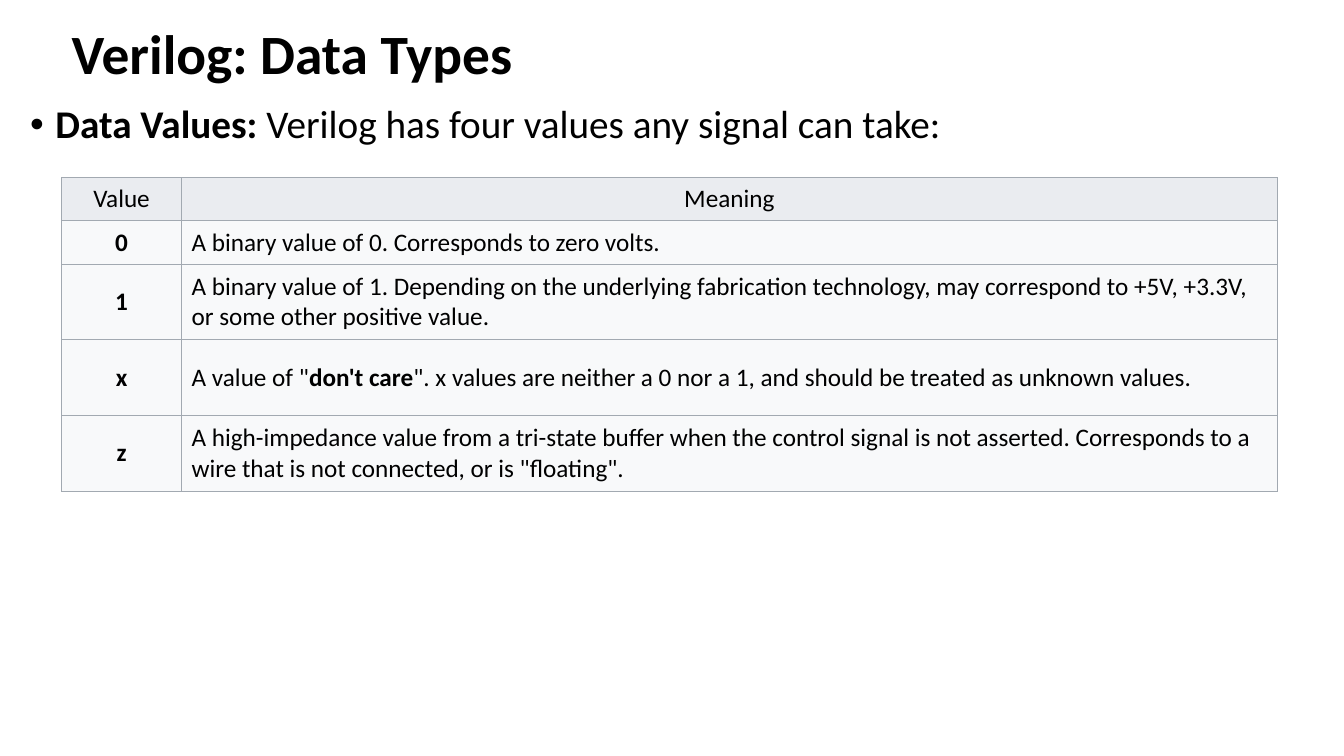
from pptx import Presentation
from pptx.dml.color import RGBColor
from pptx.enum.text import MSO_ANCHOR, MSO_AUTO_SIZE, PP_ALIGN
from pptx.oxml import parse_xml
from pptx.oxml.ns import nsdecls
from pptx.util import Pt

FONT = "Calibri"
INK, HEAD, CELL, EDGE = "000000", "EAECF0", "F8F9FA", "A2A9B1"
WIDTHS = [85.7, 782.6]
HEIGHTS = [31, 31, 54, 54, 54]

# Each text is a list of (words, bold) runs
ROWS = [
    ([("Value", False)], [("Meaning", False)]),
    ([("0", True)],
     [("A binary value of 0. Corresponds to zero volts.", False)]),
    ([("1", True)],
     [("A binary value of 1. Depending on the underlying fabrication "
       "technology, may correspond to +5V, +3.3V, or some other positive "
       "value.", False)]),
    ([("x", True)],
     [('A value of "', False), ("don't care", True),
      ('". x values are neither a 0 nor a 1, and should be treated as '
       'unknown values.', False)]),
    ([("z", True)],
     [("A high-impedance value from a tri-state buffer when the control "
       "signal is not asserted. Corresponds to a wire that is not "
       'connected, or is "floating".', False)]),
]


def color(code):
    return RGBColor.from_string(code)


def write(frame, runs, size, align=PP_ALIGN.LEFT):
    para = frame.paragraphs[0]
    para.alignment = align
    for words, bold in runs:
        run = para.add_run()
        run.text = words
        run.font.name = FONT
        run.font.size = Pt(size)
        run.font.bold = bold
        run.font.color.rgb = color(INK)
    return para


def place(shape, left, top, width, height, anchor):
    shape.left, shape.top = Pt(left), Pt(top)
    shape.width, shape.height = Pt(width), Pt(height)
    frame = shape.text_frame
    frame.word_wrap = True
    frame.auto_size = MSO_AUTO_SIZE.NONE
    frame.vertical_anchor = anchor
    return frame


def bullet(para, indent):
    props = para._p.get_or_add_pPr()
    props.set("marL", str(Pt(indent)))
    props.set("indent", str(-Pt(indent)))
    props.append(parse_xml(f'<a:buChar {nsdecls("a")} char="•"/>'))


def border(cell):
    props = cell._tc.get_or_add_tcPr()
    for side in "LRTB":
        props.append(parse_xml(
            f'<a:ln{side} {nsdecls("a")} w="{Pt(0.6)}"><a:solidFill>'
            f'<a:srgbClr val="{EDGE}"/></a:solidFill></a:ln{side}>'))


def add_grid(slide, left, top):
    grid = slide.shapes.add_table(
        len(ROWS), len(WIDTHS), Pt(left), Pt(top),
        Pt(sum(WIDTHS)), Pt(sum(HEIGHTS))).table
    grid.horz_banding = False
    grid.first_row = False
    for col, width in zip(grid.columns, WIDTHS):
        col.width = Pt(width)
    for i, texts in enumerate(ROWS):
        grid.rows[i].height = Pt(HEIGHTS[i])
        for j, runs in enumerate(texts):
            cell = grid.cell(i, j)
            border(cell)
            cell.fill.solid()
            cell.fill.fore_color.rgb = color(CELL if i else HEAD)
            cell.vertical_anchor = MSO_ANCHOR.MIDDLE
            center = i == 0 or j == 0
            write(cell.text_frame, runs, 18,
                  PP_ALIGN.CENTER if center else PP_ALIGN.LEFT)


def main():
    deck = Presentation()
    deck.slide_width, deck.slide_height = Pt(960), Pt(540)
    slide = deck.slides.add_slide(deck.slide_layouts[1])

    # Title
    frame = place(slide.shapes.title, 44, 16, 828, 49, MSO_ANCHOR.MIDDLE)
    para = write(frame, [("Verilog: Data Types", True)], 39.6)
    para.line_spacing = 0.9

    # Lead bullet
    frame = place(slide.placeholders[1], 14.4, 71.3, 874, 55.4,
                  MSO_ANCHOR.TOP)
    para = write(frame, [
        ("Data Values: ", True),
        ("Verilog has four values any signal can take:", False)], 28)
    para.line_spacing = 0.9
    para.space_before = Pt(10)
    bullet(para, 18)

    # Table of signal values
    add_grid(slide, 44, 126.7)
    deck.save("out.pptx")


if __name__ == "__main__":
    main()
